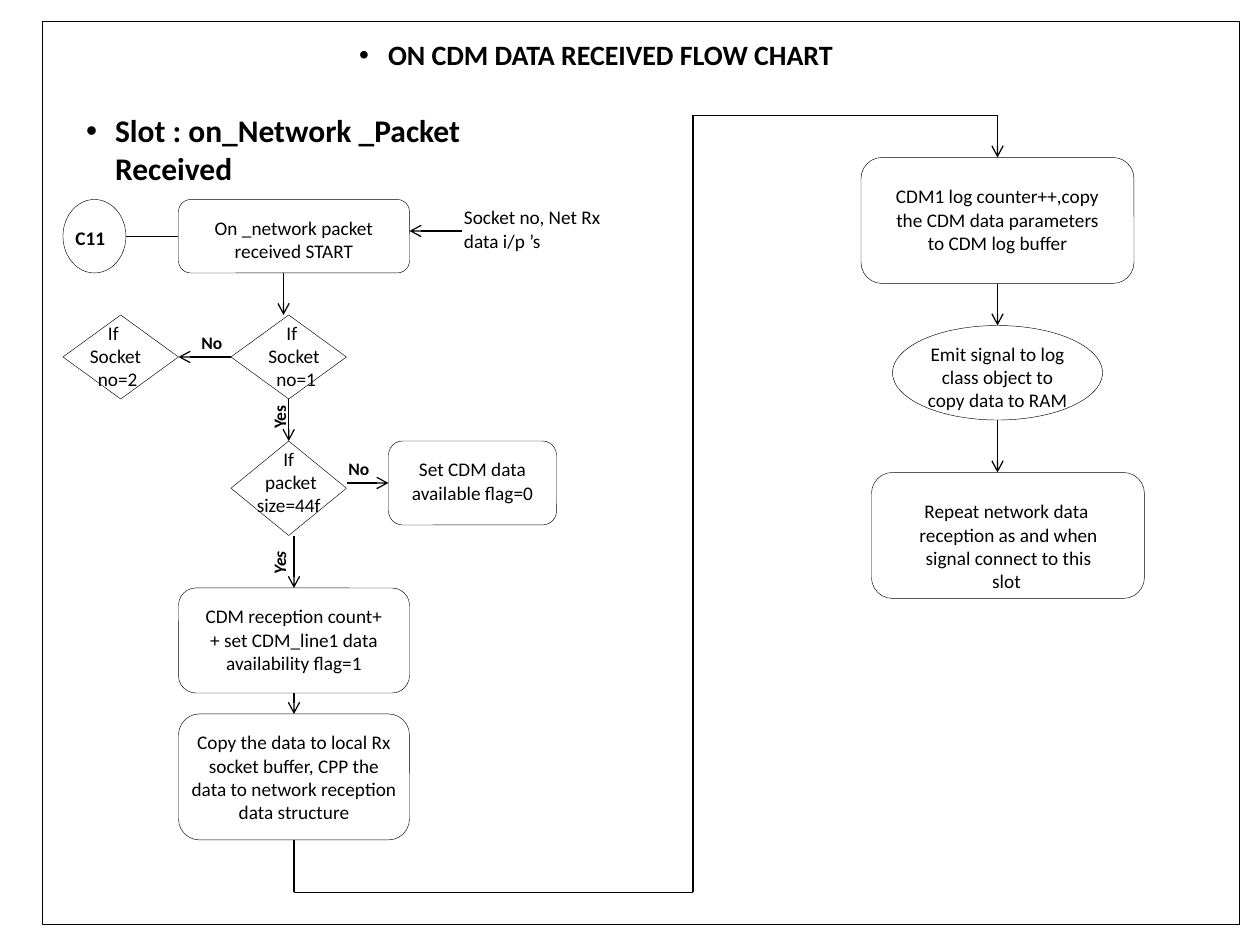
from lxml.etree import SubElement
from pptx import Presentation
from pptx.dml.color import RGBColor
from pptx.enum.shapes import MSO_CONNECTOR, MSO_SHAPE
from pptx.enum.text import MSO_ANCHOR, MSO_AUTO_SIZE, PP_ALIGN
from pptx.oxml.ns import qn
from pptx.util import Inches, Pt

# Grid: 12 cells to the inch, 120 columns by 90 rows
CELL = 1 / 12
INK = "000000"
FONT = "Calibri"
ROUND = MSO_SHAPE.ROUNDED_RECTANGLE
OVAL = MSO_SHAPE.OVAL
TEST = MSO_SHAPE.FLOWCHART_DECISION


def tint(color, code=INK):
    color.rgb = RGBColor.from_string(code)


def grid(box, *spot):
    """Turn cells counted from the corner of box into lengths."""
    return [Inches((n + box[i % 2]) * CELL if i < 2 else n * CELL)
            for i, n in enumerate(spot)]


def style(para, size, bold=False, slant=False):
    font = para.font
    font.name, font.size = FONT, Pt(size)
    font.bold, font.italic = bold, slant
    tint(font.color)


def shape(page, box, kind, spot):
    item = page.shapes.add_shape(kind, *grid(box, *spot))
    item.shadow.inherit = False
    item.fill.background()
    item.line.width = Pt(0.25)
    tint(item.line.color)


def label(page, box, spot, text, size=11, bold=False, slant=False,
          align=PP_ALIGN.CENTER, turn=0, wrap=True):
    item = page.shapes.add_textbox(*grid(box, *spot))
    item.rotation = turn
    frame = item.text_frame
    frame.word_wrap = wrap
    frame.text = text
    for para in frame.paragraphs:
        para.alignment = align
        style(para, size, bold, slant)


def wire(page, box, *dots, head=True):
    """Join the dots; the last stretch may carry an arrowhead."""
    for start, end in zip(dots, dots[1:]):
        item = page.shapes.add_connector(
            MSO_CONNECTOR.STRAIGHT, *grid(box, *start), *grid(box, *end))
        item.line.width = Pt(0.75)
        tint(item.line.color)
        if head and end == dots[-1]:
            SubElement(item.line._get_or_add_ln(), qn("a:tailEnd"), type="arrow")
        SubElement(item._element.spPr, qn("a:effectLst"))


def head(item, box, text, size):
    """Fill a placeholder with one bold bulleted line."""
    item.left, item.top, item.width, item.height = grid((0, 0), *box)
    frame = item.text_frame
    frame.text = text
    frame.word_wrap = True
    frame.auto_size = MSO_AUTO_SIZE.NONE
    frame.vertical_anchor = MSO_ANCHOR.TOP
    para = frame.paragraphs[0]
    props = para._p.get_or_add_pPr()
    inset = Inches(0.23)
    props.set("marL", str(inset))
    props.set("indent", str(-inset))
    SubElement(props, qn("a:buFont"), typeface="Arial")
    SubElement(props, qn("a:buChar"), char="•")
    para.alignment = PP_ALIGN.LEFT
    para.space_before = Pt(0)
    style(para, size, bold=True)


def intake(page, box):
    """Left column: receive a packet, test it and store it."""
    nodes = [
        (ROUND, (11, 0, 22, 7), (13, 1, 18, 5.6),
         "On _network packet received START"),
        (TEST, (16, 11, 11, 8), (18, 11, 8, 7.8), "If \nSocket\n no=1"),
        (TEST, (0, 11, 11, 8), (1, 11, 8, 7.8), "If \nSocket\n no=2"),
        (TEST, (16, 23, 11, 9), (17, 23, 9, 7.8), "If\n packet size=44f"),
        (ROUND, (31, 23, 16, 8), (32, 24, 14, 5.6),
         "Set CDM data available flag=0"),
        (ROUND, (11, 37, 22, 10), (12, 38, 20, 7.8),
         "CDM reception count++ set CDM_line1 data availability flag=1"),
        (ROUND, (11, 49, 22, 12), (11, 50, 22, 10.1),
         "Copy the data to local Rx socket buffer, CPP the data to network "
         "reception data structure"),
    ]
    for kind, spot, place, text in nodes:
        shape(page, box, kind, spot)
        label(page, box, place, text)

    # Entry mark and inputs
    left = PP_ALIGN.LEFT
    shape(page, box, OVAL, (0, 0, 6, 7))
    label(page, box, (0, 2, 6, 3.5), "C11", bold=True, align=left)
    label(page, box, (37, 0, 16, 5.6), "Socket no, Net Rx data i/p ’s", align=left)
    wire(page, box, (6, 3.5), (11, 3.5), head=False)

    # Arrows
    for start, end in [((38, 3), (33, 3)), ((21, 7), (21, 11)),
                       ((16, 15), (11, 15)), ((21.5, 19), (21.5, 23)),
                       ((27, 27), (31, 27)), ((22, 32), (22, 37)),
                       ((22, 47), (22, 49))]:
        wire(page, box, start, end)

    # Answers
    for x, y, text, turn, slant in [(12, 12, "No", 0, False),
                                    (26, 24, "No", 0, False),
                                    (18.1, 18.9, "Yes", 270, False),
                                    (18.1, 32.8, "Yes", 270, True)]:
        label(page, box, (x, y, 5, 3.2), text, 10, True, slant, left, turn)


def logging(page, box):
    """Right column: log the data and wait for more."""
    nodes = [
        (ROUND, (0, 0, 26, 12), (2, 2, 22, 7.8), True,
         "CDM1 log counter++,copy the CDM data parameters to CDM log buffer"),
        (OVAL, (3, 16, 20, 9), (5, 17, 16, 7.8), True,
         "Emit signal to log class object to copy data to RAM"),
        (ROUND, (1, 30, 26, 12), (3, 32, 21.7, 7.8), False,
         "Repeat network data\n reception as and when\n signal connect to this slot"),
    ]
    for kind, spot, place, wrap, text in nodes:
        shape(page, box, kind, spot)
        label(page, box, place, text, wrap=wrap)
    wire(page, box, (13, 12), (13, 16))
    wire(page, box, (13, 25), (13, 30))


def main():
    deck = Presentation()
    deck.slide_width, deck.slide_height = Inches(10), Inches(7.5)
    page = deck.slides.add_slide(deck.slide_layouts[1])

    # Headings and border
    head(page.shapes.title, (33, 3, 48, 4.4), "ON CDM DATA RECEIVED FLOW CHART", 16)
    head(page.placeholders[1], (7, 10, 49, 4.8),
         "Slot : on_Network _Packet Received", 18)
    shape(page, (0, 0), MSO_SHAPE.RECTANGLE, (4, 2, 114, 86))

    # Two columns and the path between them
    intake(page, (6, 19))
    logging(page, (82, 15))
    wire(page, (28, 11), (0, 69), (0, 74), (38, 74), (38, 0), (67, 0), (67, 4))
    deck.save("out.pptx")


if __name__ == "__main__":
    main()
